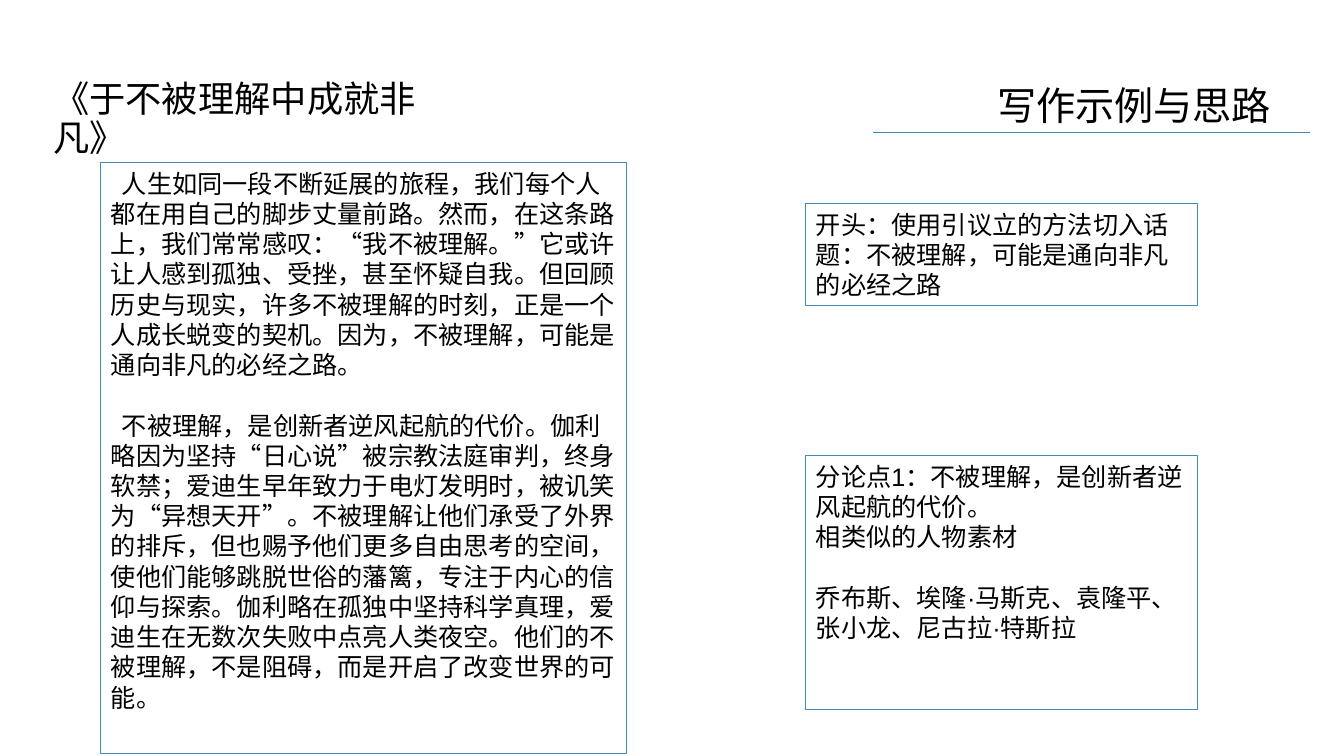
"""Builds the essay example slide with its writing notes."""
from dataclasses import dataclass

from lxml.etree import SubElement
from pptx import Presentation
from pptx.dml.color import RGBColor
from pptx.enum.shapes import MSO_CONNECTOR, MSO_SHAPE
from pptx.enum.text import MSO_ANCHOR, MSO_AUTO_SIZE, PP_ALIGN
from pptx.oxml.ns import qn
from pptx.util import Emu, Pt


@dataclass(frozen=True)
class Theme:
    ink: RGBColor = RGBColor(0x00, 0x00, 0x00)
    accent: RGBColor = RGBColor(0x41, 0x8A, 0xB3)
    latin_font: str = "Arial"
    chinese_font: str = "Noto Sans CJK SC"
    title_size: float = 28
    heading_size: float = 25.9
    text_size: float = 18
    blank_line: float = 21.6
    box_line: float = 0.75
    rule_line: float = 0.5


ESSAY = (
    "人生如同一段不断延展的旅程，我们每个人都在用自己的脚步丈量前路。然而，在这条路上，我们常常感叹：“我不被理解。”它或许让人感到孤独、受挫，甚至怀疑自我。但回顾历史与现实，许多不被理解的时刻，正是一个人成长蜕变的契机。因为，不被理解，可能是通向非凡的必经之路。",
    "不被理解，是创新者逆风起航的代价。伽利略因为坚持“日心说”被宗教法庭审判，终身软禁；爱迪生早年致力于电灯发明时，被讥笑为“异想天开”。不被理解让他们承受了外界的排斥，但也赐予他们更多自由思考的空间，使他们能够跳脱世俗的藩篱，专注于内心的信仰与探索。伽利略在孤独中坚持科学真理，爱迪生在无数次失败中点亮人类夜空。他们的不被理解，不是阻碍，而是开启了改变世界的可能。",
)
OPENING = ("开头：使用引议立的方法切入话题：不被理解，可能是通向非凡的必经之路",)
ARGUMENT = (
    "分论点1：不被理解，是创新者逆风起航的代价。",
    "相类似的人物素材",
    "乔布斯、埃隆·马斯克、袁隆平、张小龙、尼古拉·特斯拉",
)


def px(length):
    return Emu(round(length * 914400 / 100.8))


def write_paragraph(paragraph, text, *, theme, size, font, indent=0, before=0, spacing=1.0):
    paragraph.alignment = PP_ALIGN.LEFT
    paragraph.line_spacing = spacing
    paragraph.space_before = Pt(before)
    properties = paragraph._p.get_or_add_pPr()
    properties.set("marL", "0")
    properties.set("indent", str(px(indent)))
    SubElement(properties, qn("a:buNone"))
    run = paragraph.add_run()
    run.text = text
    run.font.size = Pt(size)
    run.font.color.rgb = theme.ink
    run.font.name = font
    east_asian = SubElement(run._r.get_or_add_rPr(), qn("a:ea"))
    east_asian.set("typeface", theme.chinese_font)


class SlideBuilder:
    def __init__(self, slide, theme):
        self.slide = slide
        self.theme = theme

    def placeholder(self, index, text, left, top, width, height, **text_format):
        shape = self.slide.placeholders[index]
        shape.left, shape.top, shape.width, shape.height = map(px, (left, top, width, height))
        frame = shape.text_frame
        frame.auto_size = MSO_AUTO_SIZE.NONE
        frame.vertical_anchor = MSO_ANCHOR.TOP
        write_paragraph(frame.paragraphs[0], text, theme=self.theme, **text_format)

    def rule(self, left, right, top):
        line = self.slide.shapes.add_connector(
            MSO_CONNECTOR.STRAIGHT, px(left), px(top), px(right), px(top))
        line.line.color.rgb = self.theme.accent
        line.line.width = Pt(self.theme.rule_line)
        SubElement(line._element.spPr, qn("a:effectLst"))

    def box(self, texts, left, top, width, height, *, indent=0, gap_before=None):
        shape = self.slide.shapes.add_shape(
            MSO_SHAPE.RECTANGLE, px(left), px(top), px(width), px(height))
        shape.shadow.inherit = False
        shape.fill.background()
        shape.line.color.rgb = self.theme.accent
        shape.line.width = Pt(self.theme.box_line)
        frame = shape.text_frame
        frame.word_wrap = True
        frame.vertical_anchor = MSO_ANCHOR.TOP
        for number, text in enumerate(texts):
            paragraph = frame.add_paragraph() if number else frame.paragraphs[0]
            before = self.theme.blank_line if number == gap_before else 0
            write_paragraph(paragraph, text, theme=self.theme, size=self.theme.text_size,
                            font=self.theme.latin_font, indent=indent, before=before)


def main():
    theme = Theme()
    presentation = Presentation()
    presentation.slide_width, presentation.slide_height = px(1344), px(756)
    slide = presentation.slides.add_slide(presentation.slide_layouts[1])
    builder = SlideBuilder(slide, theme)
    builder.placeholder(0, "写作示例与思路", 987, 76, 331, 57,
                        size=theme.title_size, font=theme.chinese_font)
    builder.rule(873, 1310, 132)
    builder.placeholder(1, "《于不被理解中成就非凡》", 43, 76, 447, 55,
                        size=theme.heading_size, font=theme.latin_font, before=10, spacing=0.9)
    builder.box(ESSAY, 101, 163, 526, 591, indent=11, gap_before=1)
    builder.box(OPENING, 806, 204, 392, 102)
    builder.box(ARGUMENT, 806, 456, 392, 254, gap_before=2)
    presentation.save("out.pptx")


if __name__ == "__main__":
    main()
